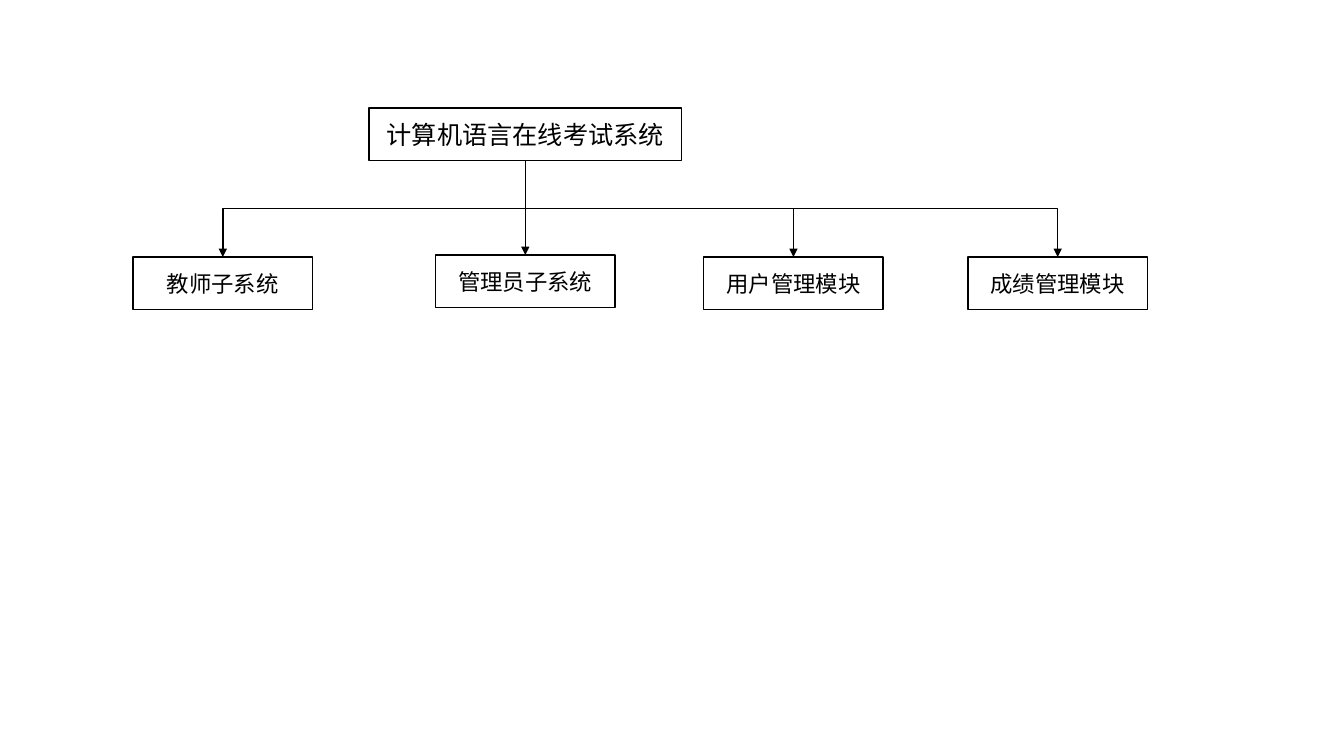
from dataclasses import dataclass

import pptx
import pptx.dml.color
import pptx.enum.shapes
import pptx.enum.text
import pptx.oxml.ns
import pptx.util
from lxml import etree
from pptx.util import Inches


@dataclass(frozen=True)
class Theme:
    ink: pptx.dml.color.RGBColor = pptx.dml.color.RGBColor(0, 0, 0)
    paper: pptx.dml.color.RGBColor = pptx.dml.color.RGBColor(255, 255, 255)
    font: str = "Calibri"
    system_size: pptx.util.Pt = pptx.util.Pt(18)
    module_size: pptx.util.Pt = pptx.util.Pt(16)
    line_width: pptx.util.Pt = pptx.util.Pt(1)


THEME = Theme()
SYSTEM = ("计算机语言在线考试系统", 2.34)
MODULES = [
    ("教师子系统", 0, 1.48),
    ("管理员子系统", 3, 1.46),
    ("用户管理模块", 5.66, 1.48),
    ("成绩管理模块", 8.28, 1.48),
]
SYSTEM_WIDTH, MODULE_WIDTH, NODE_HEIGHT = 3.1, 1.78, 0.52
BOTTOM_SITE, TOP_SITE = 2, 0


def apply_format(target, values):
    for attribute, value in values.items():
        setattr(target, attribute, value)


def style_line(line):
    line.color.rgb = THEME.ink
    line.width = THEME.line_width


def add_node(slide, label, left, top, width, size):
    node = slide.shapes.add_shape(
        pptx.enum.shapes.MSO_SHAPE.RECTANGLE,
        Inches(left), Inches(top), Inches(width), Inches(NODE_HEIGHT))
    node.shadow.inherit = False
    node.fill.solid()
    node.fill.fore_color.rgb = THEME.paper
    style_line(node.line)
    frame = node.text_frame
    apply_format(frame, {"word_wrap": True,
                         "vertical_anchor": pptx.enum.text.MSO_ANCHOR.MIDDLE})
    paragraph = frame.paragraphs[0]
    paragraph.alignment = pptx.enum.text.PP_ALIGN.CENTER
    run = paragraph.add_run()
    run.text = label
    apply_format(run.font, {"name": THEME.font, "size": size})
    run.font.color.rgb = THEME.ink
    return node


def add_branch(slide, system, module):
    """Join two nodes by an elbow turned so that it leaves and arrives vertically."""
    start_x, start_y = system.left + system.width // 2, system.top + system.height
    end_x, end_y = module.left + module.width // 2, module.top
    across, down = abs(end_x - start_x), end_y - start_y
    to_right = end_x > start_x

    branch = slide.shapes.add_connector(
        pptx.enum.shapes.MSO_CONNECTOR.ELBOW, start_x, start_y, end_x, end_y)
    branch.begin_connect(system, BOTTOM_SITE)
    branch.end_connect(module, TOP_SITE)
    apply_format(branch, {
        "left": (start_x + end_x - down) // 2,
        "top": (start_y + end_y - across) // 2,
        "width": down,
        "height": across,
    })
    properties = branch.element.spPr
    apply_format(properties.xfrm, {"rot": 270 if to_right else 90,
                                   "flipH": to_right, "flipV": False})
    style_line(branch.line)
    outline = branch.line._get_or_add_ln()
    etree.SubElement(outline, pptx.oxml.ns.qn("a:tailEnd"), type="triangle")
    etree.SubElement(properties, pptx.oxml.ns.qn("a:effectLst"))


def add_system_tree(slide, left, top):
    label, offset = SYSTEM
    system = add_node(slide, label, left + offset, top, SYSTEM_WIDTH,
                      THEME.system_size)
    modules = [
        add_node(slide, name, left + x, top + y, MODULE_WIDTH, THEME.module_size)
        for name, x, y in MODULES
    ]
    for module in modules:
        add_branch(slide, system, module)


def main():
    presentation = pptx.Presentation()
    apply_format(presentation, {"slide_width": Inches(13.33),
                                "slide_height": Inches(7.5)})
    slide = presentation.slides.add_slide(presentation.slide_layouts[6])
    add_system_tree(slide, 1.32, 1.07)
    presentation.save("out.pptx")


if __name__ == "__main__":
    main()
